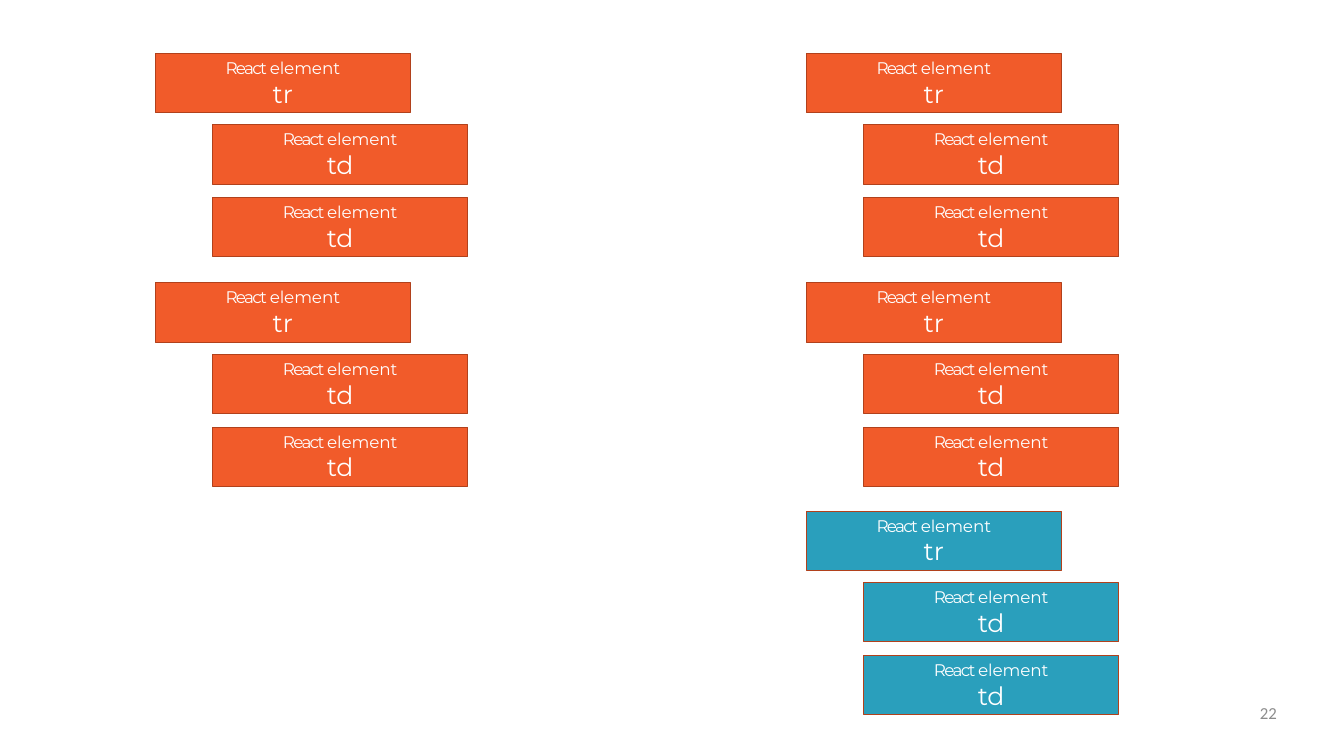
"""Build a slide comparing two trees of React elements, the second with an added row."""
from dataclasses import dataclass

from pptx import Presentation
from pptx.dml.color import RGBColor
from pptx.enum.shapes import MSO_SHAPE
from pptx.enum.text import MSO_ANCHOR, PP_ALIGN
from pptx.util import Pt

RECT = MSO_SHAPE.RECTANGLE
TOP = MSO_ANCHOR.TOP
CENTER, RIGHT = PP_ALIGN.CENTER, PP_ALIGN.RIGHT
PX = 9525
BOX_W, BOX_H = 364, 85
INDENT = 82


@dataclass(frozen=True)
class Theme:
    existing: str = "F15B2A"
    added: str = "2A9FBC"
    outline: str = "B1411C"
    text: str = "FFFFFF"
    muted: str = "8C8C8C"
    font: str = "Montserrat"
    number_font: str = "Calibri"
    label_size: int = 18
    tag_size: int = 27


@dataclass(frozen=True)
class Row:
    left: int
    top: int
    fill: str


@dataclass(frozen=True)
class Part:
    tag: str
    dx: int
    dy: int


THEME = Theme()
TREE_LEFTS = (222, 1152)
ROW_TOPS = (76, 404)
ROWS = [Row(x, y, THEME.existing) for x in TREE_LEFTS for y in ROW_TOPS]
ROWS.append(Row(TREE_LEFTS[1], 730, THEME.added))
PARTS = (Part("tr", 0, 0), Part("td", INDENT, 102), Part("td", INDENT, 206))


def px(*lengths: int) -> list[int]:
    return [n * PX for n in lengths]


def add_run(p, text: str, *, size: int = THEME.label_size, font: str = THEME.font,
            color: str = THEME.text, spacing: int = 0) -> None:
    r = p.add_run()
    r.text = text
    r.font.size = Pt(size)
    r.font.name = font
    r.font.color.rgb = RGBColor.from_string(color)
    if spacing:
        r._r.get_or_add_rPr().set("spc", str(spacing))


def set_frame(tf, top_inset: int = 0) -> None:
    tf.word_wrap = True
    tf.vertical_anchor = TOP
    tf.margin_left = tf.margin_right = tf.margin_bottom = 0
    tf.margin_top = top_inset * PX


def add_element(s, left: int, top: int, tag: str, fill: str) -> None:
    sp = s.shapes.add_shape(RECT, *px(left, top, BOX_W, BOX_H))
    sp.shadow.inherit = False
    sp.fill.solid()
    sp.fill.fore_color.rgb = RGBColor.from_string(fill)
    sp.line.color.rgb = RGBColor.from_string(THEME.outline)
    sp.line.width = Pt(1)
    tf = sp.text_frame
    set_frame(tf, top_inset=6)
    p = tf.paragraphs[0]
    p.alignment = CENTER
    add_run(p, "React ", spacing=-180)
    add_run(p, "element", spacing=-10)
    p = tf.add_paragraph()
    p.alignment = CENTER
    p.space_before = Pt(0.3)
    add_run(p, tag, size=THEME.tag_size, spacing=-20)


def add_row(s, row: Row) -> None:
    for part in PARTS:
        add_element(s, row.left + part.dx, row.top + part.dy, part.tag, row.fill)


def add_page_number(s, number: str) -> None:
    tf = s.shapes.add_textbox(*px(1382, 1004, 442, 54)).text_frame
    set_frame(tf)
    p = tf.paragraphs[0]
    p.alignment = RIGHT
    add_run(p, number, font=THEME.number_font, color=THEME.muted)


def main() -> None:
    prs = Presentation()
    prs.slide_width, prs.slide_height = px(1920, 1080)
    s = prs.slides.add_slide(prs.slide_layouts[6])
    for row in ROWS:
        add_row(s, row)
    add_page_number(s, "22")
    prs.save("out.pptx")


if __name__ == "__main__":
    main()
